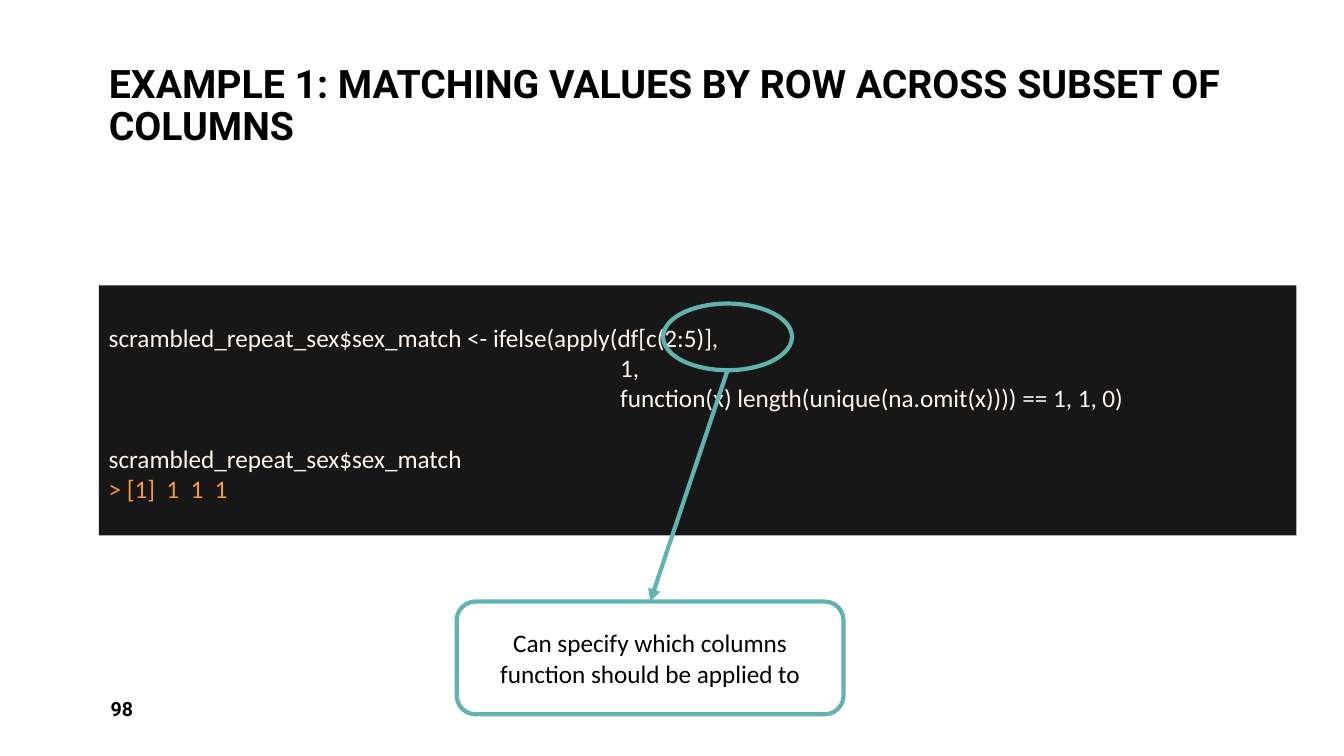
from dataclasses import dataclass
from typing import Any, Optional

import pptx
import pptx.dml.color
import pptx.enum.shapes
import pptx.enum.text
import pptx.oxml
import pptx.oxml.ns
import pptx.util

Cm = pptx.util.Cm
Pt = pptx.util.Pt
ShapeKind = pptx.enum.shapes.MSO_SHAPE
Anchor = pptx.enum.text.MSO_ANCHOR
Align = pptx.enum.text.PP_ALIGN


@dataclass(frozen=True)
class Theme:
    heading_font: str = "Roboto"
    body_font: str = "Calibri"
    ink: str = "000000"
    panel: str = "181717"
    code: str = "FEF4EA"
    output: str = "F49838"
    accent: str = "61B3B2"
    title_size: float = 28
    body_size: float = 18
    number_size: float = 14
    line_width: float = 3


@dataclass(frozen=True)
class Box:
    left: float
    top: float
    width: float
    height: float

    def lengths(self) -> tuple:
        return Cm(self.left), Cm(self.top), Cm(self.width), Cm(self.height)


@dataclass(frozen=True)
class Line:
    text: str
    color: str
    size: float = Theme.body_size
    font: str = Theme.body_font
    bold: bool = False
    align: Any = Align.LEFT
    spacing: float = 1.0
    gap: float = 0


THEME = Theme()
TITLE_BOX = Box(2.49, 0.2, 28.91, 3.68)
NUMBER_BOX = Box(2.54, 17.35, 7.42, 1.02)
CODE_BOX = Box(2.49, 7.19, 30.18, 6.3)
RING_BOX = Box(16.71, 7.65, 3.25, 1.68)
NOTE_BOX = Box(11.51, 15.16, 9.75, 2.84)
CODE_INDENT = " " * 90

TITLE = Line(
    "EXAMPLE 1: MATCHING VALUES BY ROW ACROSS SUBSET OF COLUMNS",
    THEME.ink, THEME.title_size, THEME.heading_font, bold=True, spacing=0.9,
)
NUMBER = Line("98", THEME.ink, THEME.number_size, THEME.heading_font, bold=True)
NOTE = Line("Can specify which columns function should be applied to", THEME.ink, align=Align.CENTER)
CODE = [
    Line("scrambled_repeat_sex$sex_match <- ifelse(apply(df[c(2:5)],", THEME.code),
    Line(CODE_INDENT + "1,", THEME.code),
    Line(CODE_INDENT + "function(x) length(unique(na.omit(x)))) == 1, 1, 0)", THEME.code),
    Line("scrambled_repeat_sex$sex_match", THEME.code, gap=22),
    Line("> [1]  1  1  1", THEME.output),
]


def rgb(value: str) -> pptx.dml.color.RGBColor:
    return pptx.dml.color.RGBColor.from_string(value)


def apply_format(target: Any, values: dict) -> None:
    for name, value in values.items():
        setattr(target, name, value)


def write(shape: Any, lines: list[Line], anchor: Any, top_inset: float = 0.13) -> None:
    frame = shape.text_frame
    apply_format(frame, {
        "word_wrap": True,
        "auto_size": pptx.enum.text.MSO_AUTO_SIZE.NONE,
        "vertical_anchor": anchor,
        "margin_top": Cm(top_inset),
    })
    for index, line in enumerate(lines):
        para = frame.paragraphs[0] if index == 0 else frame.add_paragraph()
        apply_format(para, {
            "alignment": line.align,
            "line_spacing": line.spacing,
            "space_before": Pt(line.gap),
        })
        span = para.add_run()
        span.text = line.text
        apply_format(span.font, {"name": line.font, "size": Pt(line.size), "bold": line.bold})
        span.font.color.rgb = rgb(line.color)


def stroke(shape: Any, color: str) -> None:
    shape.line.color.rgb = rgb(color)
    shape.line.width = Pt(THEME.line_width)


def add_box(slide: Any, kind: Any, box: Box, fill: Optional[str] = None,
            outline: Optional[str] = None) -> Any:
    shape = slide.shapes.add_shape(kind, *box.lengths())
    shape.shadow.inherit = False
    if fill:
        shape.fill.solid()
        shape.fill.fore_color.rgb = rgb(fill)
    else:
        shape.fill.background()
    if outline:
        stroke(shape, outline)
    else:
        shape.line.fill.background()
    return shape


def add_arrow(slide: Any, source: Any, target: Any) -> None:
    arrow = slide.shapes.add_connector(
        pptx.enum.shapes.MSO_CONNECTOR.STRAIGHT,
        source.left + source.width // 2, source.top + source.height,
        target.left + target.width // 2, target.top,
    )
    arrow.end_connect(target, 0)
    stroke(arrow, THEME.accent)
    head = pptx.oxml.parse_xml(
        f'<a:tailEnd {pptx.oxml.ns.nsdecls("a")} type="triangle"/>'
    )
    arrow.line._get_or_add_ln().append(head)
    effects = pptx.oxml.parse_xml(f'<a:effectLst {pptx.oxml.ns.nsdecls("a")}/>')
    arrow._element.spPr.append(effects)


def main() -> None:
    deck = pptx.Presentation()
    apply_format(deck, {"slide_width": Cm(33.87), "slide_height": Cm(19.05)})
    page = deck.slides.add_slide(deck.slide_layouts.get_by_name("Title Only"))

    title = page.shapes.title
    apply_format(title, dict(zip(("left", "top", "width", "height"), TITLE_BOX.lengths())))
    write(title, [TITLE], Anchor.BOTTOM)

    number = page.shapes.add_textbox(*NUMBER_BOX.lengths())
    write(number, [NUMBER], Anchor.MIDDLE)

    panel = add_box(page, ShapeKind.RECTANGLE, CODE_BOX, fill=THEME.panel)
    write(panel, CODE, Anchor.TOP, top_inset=0.92)

    ring = add_box(page, ShapeKind.OVAL, RING_BOX, outline=THEME.accent)
    note = add_box(page, ShapeKind.ROUNDED_RECTANGLE, NOTE_BOX, outline=THEME.accent)
    write(note, [NOTE], Anchor.MIDDLE)
    add_arrow(page, ring, note)

    deck.save("out.pptx")


if __name__ == "__main__":
    main()
